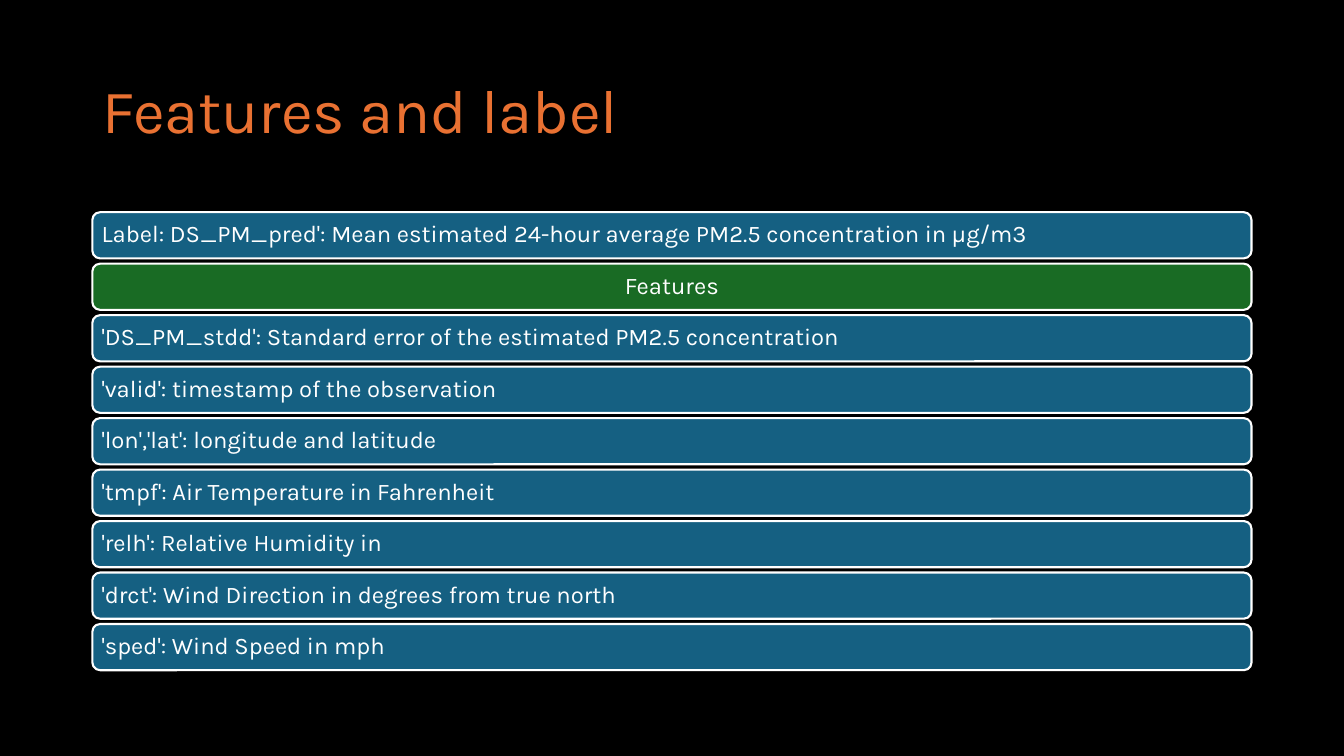
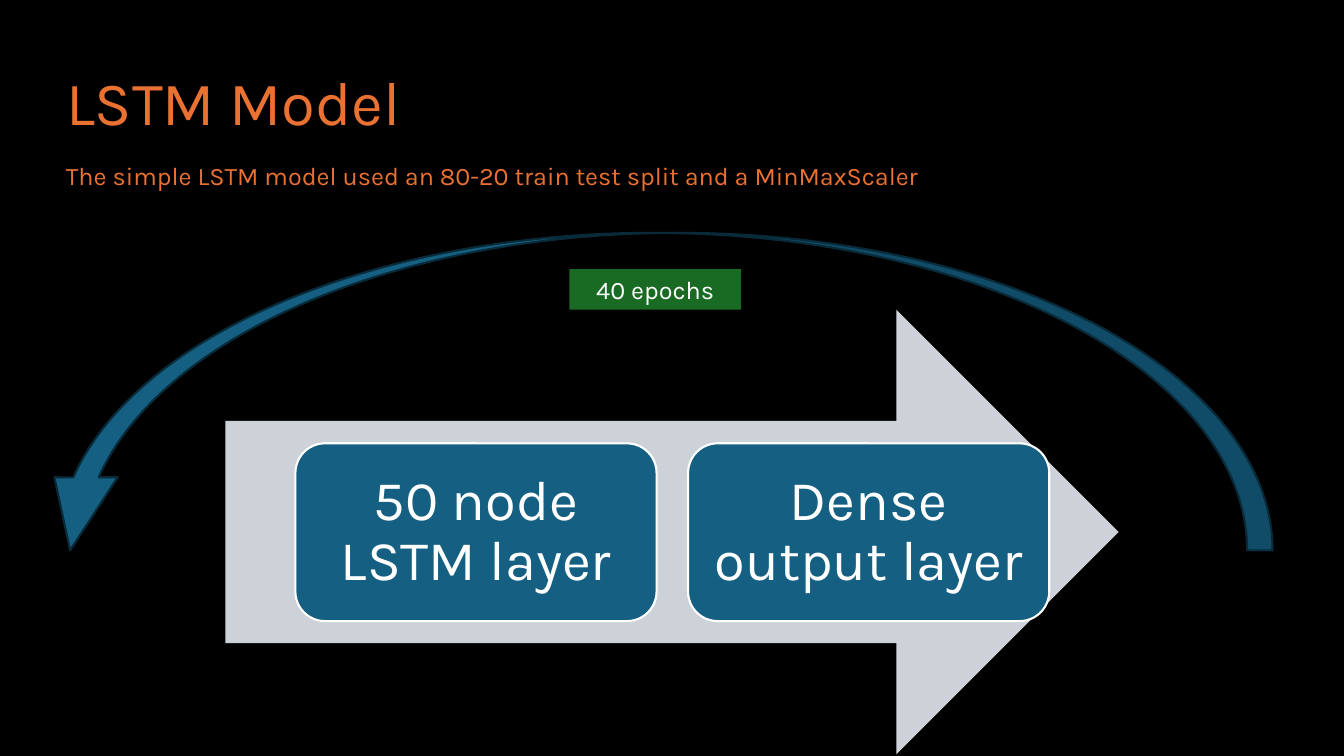
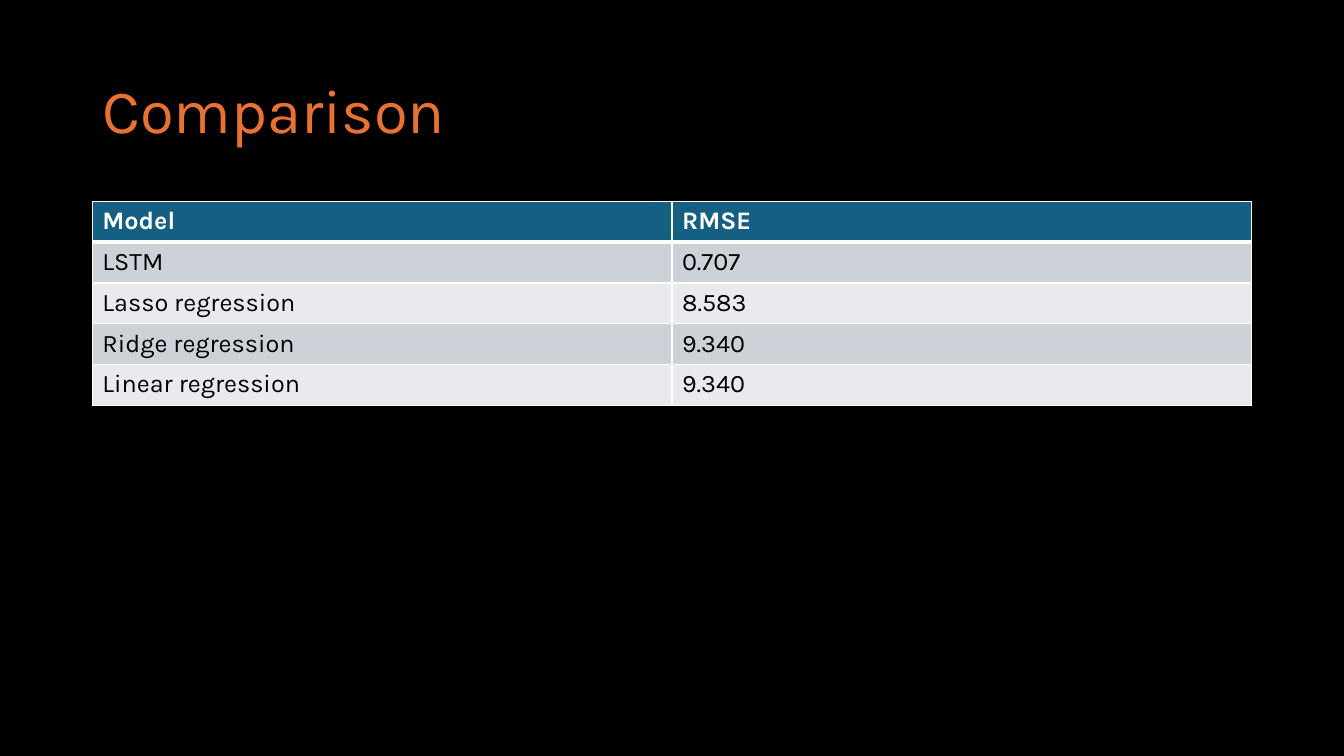
from dataclasses import dataclass

from lxml.etree import SubElement
from pptx import Presentation
from pptx.dml.color import RGBColor
from pptx.enum.shapes import MSO_SHAPE
from pptx.enum.text import MSO_ANCHOR, PP_ALIGN
from pptx.oxml.ns import qn
from pptx.util import Pt


@dataclass(frozen=True)
class Theme:
    font: str = "Karla"
    background: str = "000000"
    accent: str = "E97132"
    blue: str = "156082"
    green: str = "196B24"
    outline: str = "092A39"
    white: str = "FFFFFF"
    black: str = "000000"
    grey: str = "CCD2D8"
    light: str = "E8EAED"
    title_size: float = 44
    box_size: float = 40
    text_size: float = 18
    bar_size: float = 17
    line_width: float = 1.5
    left: float = 66
    width: float = 828


class Deck:
    def __init__(self, theme):
        self.theme = theme
        self.prs = Presentation()
        self.prs.slide_width, self.prs.slide_height = Pt(960), Pt(540)
        self.slide = None
        self.paint(self.prs.slide_master.background.fill, theme.background)

    @staticmethod
    def paint(fill, color):
        fill.solid()
        fill.fore_color.rgb = RGBColor.from_string(color)

    def add_text(self, tf, text, size, color, align=PP_ALIGN.LEFT, spacing=None, bold=False):
        p = tf.paragraphs[0]
        p.alignment = align
        p.line_spacing = spacing
        r = p.add_run()
        r.text = text
        r.font.name = self.theme.font
        r.font.size = Pt(size)
        r.font.bold = bold
        r.font.color.rgb = RGBColor.from_string(color)

    def add_slide(self, title, x=None, y=28.8):
        """Start a slide and place its title."""
        t = self.theme
        self.slide = self.prs.slides.add_slide(self.prs.slide_layouts[5])
        sp = self.slide.shapes.title
        sp.left, sp.top = Pt(t.left if x is None else x), Pt(y)
        sp.width, sp.height = Pt(t.width), Pt(104.4)
        sp.text_frame.vertical_anchor = MSO_ANCHOR.MIDDLE
        self.add_text(sp.text_frame, title, t.title_size, t.accent, spacing=0.9)

    def shape(self, kind, x, y, w, h, fill, line=None):
        sp = self.slide.shapes.add_shape(kind, Pt(x), Pt(y), Pt(w), Pt(h))
        sp.shadow.inherit = False
        self.paint(sp.fill, fill)
        if line:
            sp.line.color.rgb = RGBColor.from_string(line)
            sp.line.width = Pt(self.theme.line_width)
        else:
            sp.line.fill.background()
        return sp

    def rounded_box(self, x, y, w, h, text, size, inset, fill, align=PP_ALIGN.CENTER):
        sp = self.shape(MSO_SHAPE.ROUNDED_RECTANGLE, x, y, w, h, fill, self.theme.white)
        tf = sp.text_frame
        tf.word_wrap = True
        tf.margin_left = tf.margin_right = tf.margin_top = tf.margin_bottom = Pt(inset)
        tf.vertical_anchor = MSO_ANCHOR.MIDDLE
        self.add_text(tf, text, size, self.theme.white, align, spacing=0.9)

    def tag(self, x, y, w, h, text):
        """Small filled rectangle with centred text."""
        t = self.theme
        sp = self.shape(MSO_SHAPE.RECTANGLE, x, y, w, h, t.green)
        self.add_text(sp.text_frame, text, t.text_size, t.white, PP_ALIGN.CENTER)

    def loop_arrow(self, x, y, w, h, adjustments):
        """Curved arrow that runs back from right to left."""
        t = self.theme
        sp = self.shape(MSO_SHAPE.CURVED_DOWN_ARROW, x, y, w, h, t.blue, t.outline)
        for i, value in enumerate(adjustments):
            sp.adjustments[i] = value
        sp.element.spPr.find(qn("a:xfrm")).set("flipH", "1")

    def text(self, x, y, w, h, text):
        sp = self.slide.shapes.add_textbox(Pt(x), Pt(y), Pt(w), Pt(h))
        sp.text_frame.word_wrap = True
        self.add_text(sp.text_frame, text, self.theme.text_size, self.theme.accent)

    def border(self, cell, **widths):
        """Draw white cell borders; widths are keyed L, R, T, B."""
        tc_pr = cell._tc.get_or_add_tcPr()
        for side, width in widths.items():
            ln = SubElement(tc_pr, qn(f"a:ln{side}"), w=str(Pt(width)))
            fill = SubElement(ln, qn("a:solidFill"))
            SubElement(fill, qn("a:srgbClr"), val=self.theme.white)

    def table(self, y, row_height, rows):
        t = self.theme
        cols = len(rows[0])
        table = self.slide.shapes.add_table(
            len(rows), cols, Pt(t.left), Pt(y), Pt(t.width), Pt(row_height * len(rows))
        ).table
        table.horz_banding = False
        for i, row in enumerate(rows):
            header = i == 0
            fill = t.blue if header else (t.grey if i % 2 else t.light)
            for j, value in enumerate(row):
                cell = table.cell(i, j)
                self.border(cell, L=1, R=1, T=3 if i == 1 else 1, B=3 if header else 1)
                self.paint(cell.fill, fill)
                self.add_text(cell.text_frame, value, t.text_size,
                              t.white if header else t.black, bold=header)


def features_slide(deck):
    t = deck.theme
    deck.add_slide("Features and label")
    bars = [
        "Label: DS_PM_pred': Mean estimated 24-hour average PM2.5 concentration in μg/m3",
        "Features",
        "'DS_PM_stdd': Standard error of the estimated PM2.5 concentration",
        "'valid': timestamp of the observation",
        "'lon','lat': longitude and latitude",
        "'tmpf': Air Temperature in Fahrenheit",
        "'relh': Relative Humidity in",
        "'drct': Wind Direction in degrees from true north",
        "'sped': Wind Speed in mph",
    ]
    top, step, height = 151.6, 36.77, 33
    for i, text in enumerate(bars):
        heading = text == "Features"
        deck.rounded_box(t.left, top + i * step, t.width, height, text, t.bar_size, 5,
                         t.green if heading else t.blue,
                         PP_ALIGN.CENTER if heading else PP_ALIGN.LEFT)


def model_slide(deck):
    t = deck.theme
    left = 40
    deck.add_slide("LSTM Model", left, 23)
    deck.shape(MSO_SHAPE.RIGHT_ARROW, 161, 221.2, 638, 317.6, t.grey)
    for i, text in enumerate(["50 node LSTM layer", "Dense output layer"]):
        deck.rounded_box(211 + i * 280.5, 316.7, 258, 127, text, t.box_size, 12.2, t.blue)
    deck.loop_arrow(27.5, 166.3, 881.5, 226.8, [0.08, 0.199, 0.23])
    deck.tag(406.8, 192.2, 122.4, 29, "40 epochs")
    deck.text(left, 111, 716.4, 29,
              "The simple LSTM model used an 80-20 train test split and a MinMaxScaler")


def comparison_slide(deck):
    deck.add_slide("Comparison")
    deck.table(143.75, 29.2, [
        ("Model", "RMSE"),
        ("LSTM", "0.707"),
        ("Lasso regression", "8.583"),
        ("Ridge regression", "9.340"),
        ("Linear regression", "9.340"),
    ])


def main():
    deck = Deck(Theme())
    features_slide(deck)
    model_slide(deck)
    comparison_slide(deck)
    deck.prs.save("out.pptx")


if __name__ == "__main__":
    main()
